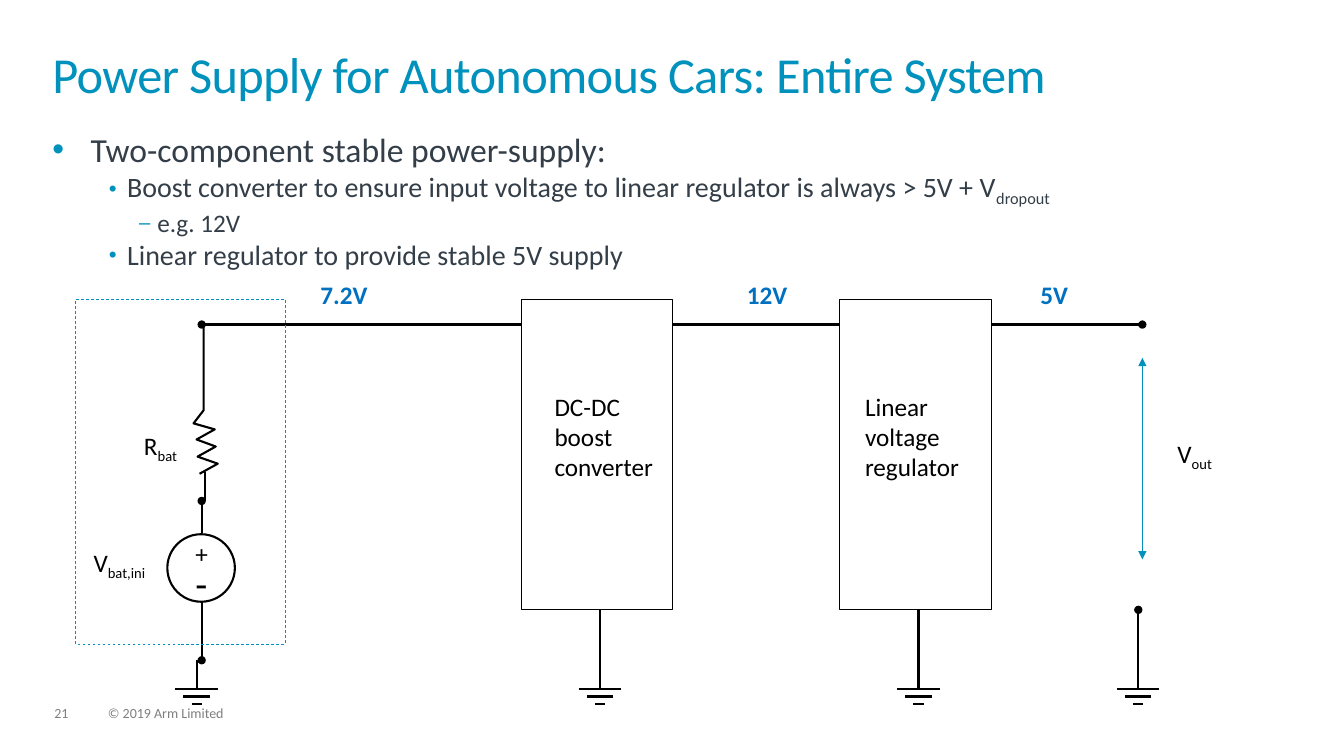
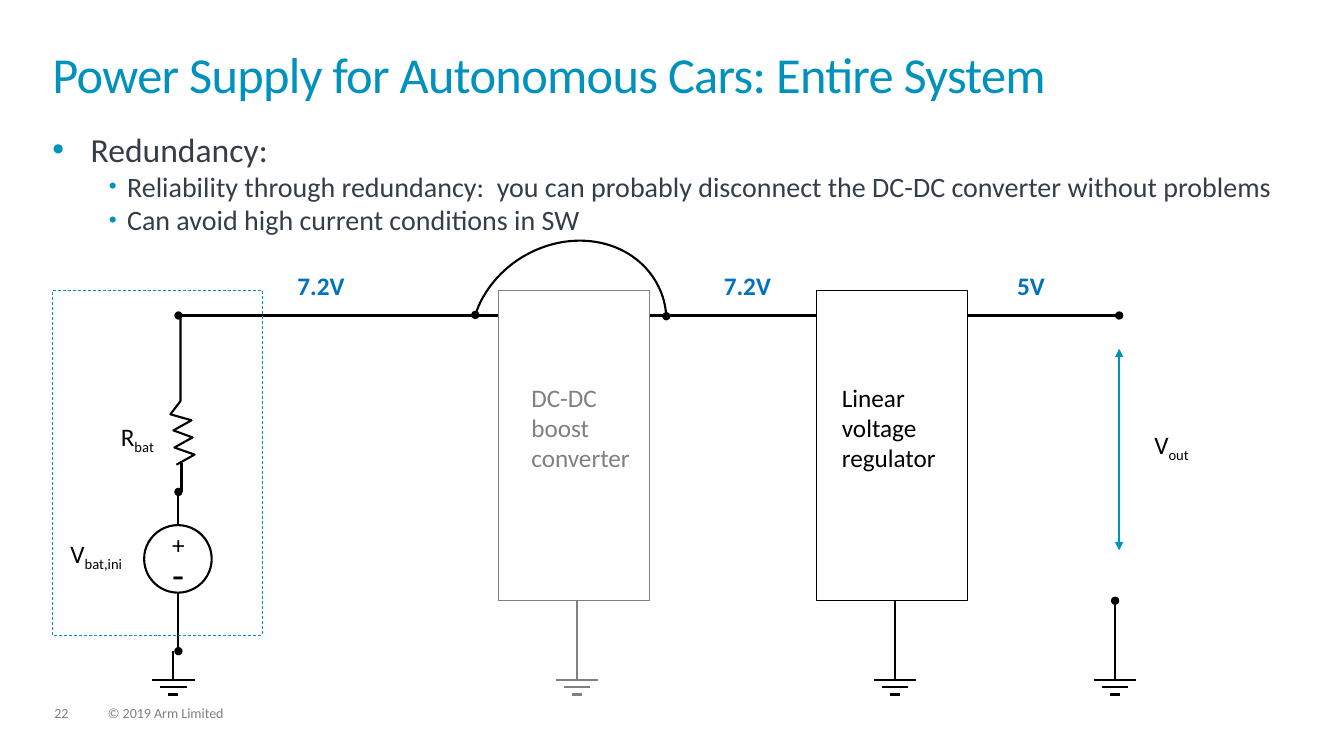
from dataclasses import dataclass
from typing import Any, NamedTuple

from pptx import Presentation
from pptx.dml.color import RGBColor
from pptx.enum.dml import MSO_LINE
from pptx.enum.shapes import MSO_CONNECTOR, MSO_SHAPE
from pptx.oxml.ns import qn
from pptx.util import Emu, Pt
from lxml.etree import SubElement

EMU_PER_PX = 9144


@dataclass(frozen=True)
class Theme:
    """Colours, font and type sizes shared by all slides."""

    font: str = "Calibri"
    accent: str = "0091BD"
    body: str = "333E48"
    ink: str = "000000"
    faded: str = "808080"
    footer: str = "7F7F7F"
    voltage: str = "0070C0"
    white: str = "FFFFFF"
    title_size: int = 36
    level_sizes: tuple[int, ...] = (24, 20, 18)
    label_size: int = 18
    minus_size: int = 28
    footer_size: int = 10
    wire: float = 1.5
    arrow: float = 1
    outline: float = 0.5


THEME = Theme()


class Area(NamedTuple):
    """A rectangle in px."""

    left: int
    top: int
    width: int
    height: int


class Point(NamedTuple):
    """A position in px."""

    x: int
    y: int


class Level(NamedTuple):
    """Bullet symbol and indents of one outline level."""

    symbol: str
    margin: int
    hanging: int
    percent: int


class Bullet(NamedTuple):
    """One outline line; an underscore starts its subscript."""

    level: int
    text: str


class Label(NamedTuple):
    """A short circuit caption; an underscore starts its subscript."""

    area: Area
    text: str
    size: int = THEME.label_size
    color: str = THEME.ink
    bold: bool = False


class Stage(NamedTuple):
    """A converter block with its caption."""

    left: int
    caption_left: int
    lines: tuple[str, ...]
    color: str


@dataclass(frozen=True)
class PageContent:
    """What differs from slide to slide."""

    number: int
    bullets: tuple[Bullet, ...]
    shift: Point
    middle_voltage: str
    converter_color: str
    bypassed: bool


TITLE = "Power Supply for Autonomous Cars: Entire System"
COPYRIGHT = "© 2019 Arm Limited"
LEVELS = (Level("•", 38, 38, 100), Level("•", 74, 18, 80), Level("–", 104, 18, 80))
WIRE_Y, BLOCK_TOP, BLOCK_BOTTOM, GROUND_Y = 322, 297, 605, 684
WIRES = ((867, 658), (1133, 925), (542, 200))
ZIGZAG = (
    Point(202, WIRE_Y), Point(202, 407), Point(192, 420), Point(213, 426), Point(195, 436),
    Point(214, 443), Point(196, 453), Point(216, 460), Point(198, 470),
)
PAGES = (
    PageContent(
        21,
        (
            Bullet(0, "Two-component stable power-supply:"),
            Bullet(1, "Boost converter to ensure input voltage to linear regulator is always > 5V + V_dropout"),
            Bullet(2, "e.g. 12V"),
            Bullet(1, "Linear regulator to provide stable 5V supply"),
        ),
        Point(0, 0), "12V", THEME.ink, False,
    ),
    PageContent(
        22,
        (
            Bullet(0, "Redundancy:"),
            Bullet(1, "Reliability through redundancy:  you can probably disconnect the DC-DC converter without problems"),
            Bullet(1, "Can avoid high current conditions in SW"),
        ),
        Point(-23, -9), "7.2V", THEME.faded, True,
    ),
)


def px(length: int) -> Emu:
    """Turn px into EMU."""
    return Emu(length * EMU_PER_PX)


def add_box(page: Any, area: Area, inset: bool = False) -> Any:
    """Add a wrapping text box and return its text frame."""
    frame = page.shapes.add_textbox(*map(px, area)).text_frame
    frame.word_wrap = True
    if not inset:
        frame.margin_left = frame.margin_right = frame.margin_top = frame.margin_bottom = 0
    return frame


def write(para: Any, text: str, size: int, color: str, bold: bool = False) -> None:
    """Fill a paragraph, lowering what follows an underscore."""
    base, _, subscript = text.partition("_")
    para.add_run().text = base
    if subscript:
        span = para.add_run()
        span.text = subscript
        span._r.get_or_add_rPr().set("baseline", "-25000")
    font = para.font
    font.name, font.size, font.bold = THEME.font, Pt(size), bold
    font.color.rgb = RGBColor.from_string(color)


def add_bullet(para: Any, level: Level) -> None:
    """Give a paragraph the symbol and indents of its level."""
    props = para._p.get_or_add_pPr()
    props.set("marL", str(px(level.margin)))
    props.set("indent", str(-px(level.hanging)))
    SubElement(SubElement(props, qn("a:buClr")), qn("a:srgbClr"), val=THEME.accent)
    SubElement(props, qn("a:buSzPct"), val=str(level.percent * 1000))
    SubElement(props, qn("a:buFont"), typeface="Arial")
    SubElement(props, qn("a:buChar"), char=level.symbol)


def set_line(shape: Any, color: str, width: float, head: str = "", tail: str = "") -> None:
    """Style an outline and its ends."""
    shape.line.color.rgb = RGBColor.from_string(color)
    shape.line.width = Pt(width)
    for tag, kind in (("a:headEnd", head), ("a:tailEnd", tail)):
        if kind:
            SubElement(shape.line._get_or_add_ln(), qn(tag), type=kind)


def add_frame(page: Any, content: PageContent) -> None:
    """Add title, outline and footer."""
    para = add_box(page, Area(52, 52, 1228, 72)).paragraphs[0]
    para.line_spacing = 0.85
    write(para, TITLE, THEME.title_size, THEME.accent)
    para._p.get_or_add_pPr().get_or_add_defRPr().set("spc", "-50")
    outline = add_box(page, Area(52, 128, 1228, 447))
    for index, bullet in enumerate(content.bullets):
        para = outline.add_paragraph() if index else outline.paragraphs[0]
        add_bullet(para, LEVELS[bullet.level])
        write(para, bullet.text, THEME.level_sizes[bullet.level], THEME.body)
    for left, width, text in ((54, 34, str(content.number)), (107, 171, COPYRIGHT)):
        para = add_box(page, Area(left, 701, width, 15)).paragraphs[0]
        para.line_spacing = 0.9
        write(para, text, THEME.footer_size, THEME.footer)


@dataclass
class Circuit:
    """Draws circuit parts on a page, all moved by one shift."""

    page: Any
    shift: Point

    def moved(self, area: Area) -> Area:
        """Apply the shift to an area."""
        return area._replace(left=area.left + self.shift.x, top=area.top + self.shift.y)

    def line(self, start: Point, end: Point, color: str = THEME.ink, head: str = "",
             tail: str = "", width: float = THEME.wire) -> None:
        """Draw a straight line."""
        dx, dy = self.shift
        connector = self.page.shapes.add_connector(
            MSO_CONNECTOR.STRAIGHT, px(start.x + dx), px(start.y + dy), px(end.x + dx), px(end.y + dy))
        set_line(connector, color, width, head, tail)
        SubElement(connector._element.spPr, qn("a:effectLst"))

    def shape(self, kind: MSO_SHAPE, area: Area, color: str, width: float,
              fill: str = "", end: str = "") -> Any:
        """Draw an outlined preset shape."""
        shape = self.page.shapes.add_shape(kind, *map(px, self.moved(area)))
        shape.shadow.inherit = False
        if fill:
            shape.fill.solid()
            shape.fill.fore_color.rgb = RGBColor.from_string(fill)
        else:
            shape.fill.background()
        set_line(shape, color, width, end, end)
        return shape

    def label(self, label: Label) -> None:
        """Write a caption."""
        frame = add_box(self.page, self.moved(label.area), inset=True)
        write(frame.paragraphs[0], label.text, label.size, label.color, label.bold)

    def ground(self, x: int, top: int, color: str = THEME.ink, head: str = "") -> None:
        """Draw a ground symbol below a stem."""
        self.line(Point(x, top), Point(x, GROUND_Y), color, head)
        for index, half in enumerate((21, 13, 5)):
            y = GROUND_Y + 7 * index
            self.line(Point(x - half, y), Point(x + half, y), color)

    def battery(self) -> None:
        """Draw the voltage source, its resistance and its enclosure."""
        self.shape(MSO_SHAPE.OVAL, Area(166, 530, 67, 67), THEME.ink, THEME.wire)
        self.label(Label(Area(184, 529, 44, 41), "+"))
        self.label(Label(Area(184, 550, 44, 57), "-", THEME.minus_size))
        self.line(Point(200, 529), Point(200, 497), tail="oval")
        self.line(Point(200, 597), Point(200, 655), tail="oval")
        self.ground(195, 655)
        start, *rest = (Point(x + self.shift.x, y + self.shift.y) for x, y in ZIGZAG)
        builder = self.page.shapes.build_freeform(start.x, start.y, scale=EMU_PER_PX)
        builder.add_line_segments(rest, close=False)
        resistor = builder.convert_to_shape()
        resistor.shadow.inherit = False
        resistor.fill.background()
        set_line(resistor, THEME.ink, THEME.wire)
        self.line(Point(203, 468), Point(203, 497))
        enclosure = self.shape(MSO_SHAPE.RECTANGLE, Area(75, BLOCK_TOP, 208, 342), THEME.accent, THEME.outline)
        enclosure.line.dash_style = MSO_LINE.DASH

    def stage(self, stage: Stage) -> None:
        """Draw a grounded converter block."""
        area = Area(stage.left, BLOCK_TOP, 150, BLOCK_BOTTOM - BLOCK_TOP)
        self.shape(MSO_SHAPE.RECTANGLE, area, stage.color, THEME.outline, THEME.white)
        self.ground(stage.left + 78, BLOCK_BOTTOM, stage.color)
        frame = add_box(self.page, self.moved(Area(stage.caption_left, 388, 117, 100)))
        for index, text in enumerate(stage.lines):
            para = frame.add_paragraph() if index else frame.paragraphs[0]
            write(para, text, THEME.label_size, stage.color)


def draw_circuit(page: Any, content: PageContent) -> None:
    """Draw the whole power supply."""
    circuit = Circuit(page, content.shift)
    for right, left in WIRES:
        circuit.line(Point(right, WIRE_Y), Point(left, WIRE_Y), head="oval", tail="oval")
    circuit.battery()
    circuit.stage(Stage(517, 550, ("DC-DC", "boost converter"), content.converter_color))
    circuit.stage(Stage(833, 858, ("Linear voltage regulator",), THEME.ink))
    circuit.ground(1129, BLOCK_BOTTOM, head="oval")
    for left, top, text in ((83, 538, "V_bat,ini"), (133, 422, "R_bat"), (1158, 430, "V_out")):
        circuit.label(Label(Area(left, top, 83, 40), text))
    for left, text in ((308, "7.2V"), (731, content.middle_voltage), (1022, "5V")):
        circuit.label(Label(Area(left, 272, 79, 40), text, color=THEME.voltage, bold=True))
    circuit.line(Point(1133, 355), Point(1133, 555), THEME.accent, "triangle", "triangle", THEME.arrow)
    if content.bypassed:
        bypass = circuit.shape(MSO_SHAPE.ARC, Area(487, 251, 200, 175), THEME.ink, THEME.wire, end="oval")
        bypass.rotation = 330.1
        bypass.adjustments[0], bypass.adjustments[1] = 132.23, 12.38


def main() -> None:
    """Build and save the deck."""
    deck = Presentation()
    deck.slide_width, deck.slide_height = px(1333), px(750)
    for content in PAGES:
        page = deck.slides.add_slide(deck.slide_layouts[6])
        add_frame(page, content)
        draw_circuit(page, content)
    deck.save("out.pptx")


if __name__ == "__main__":
    main()
